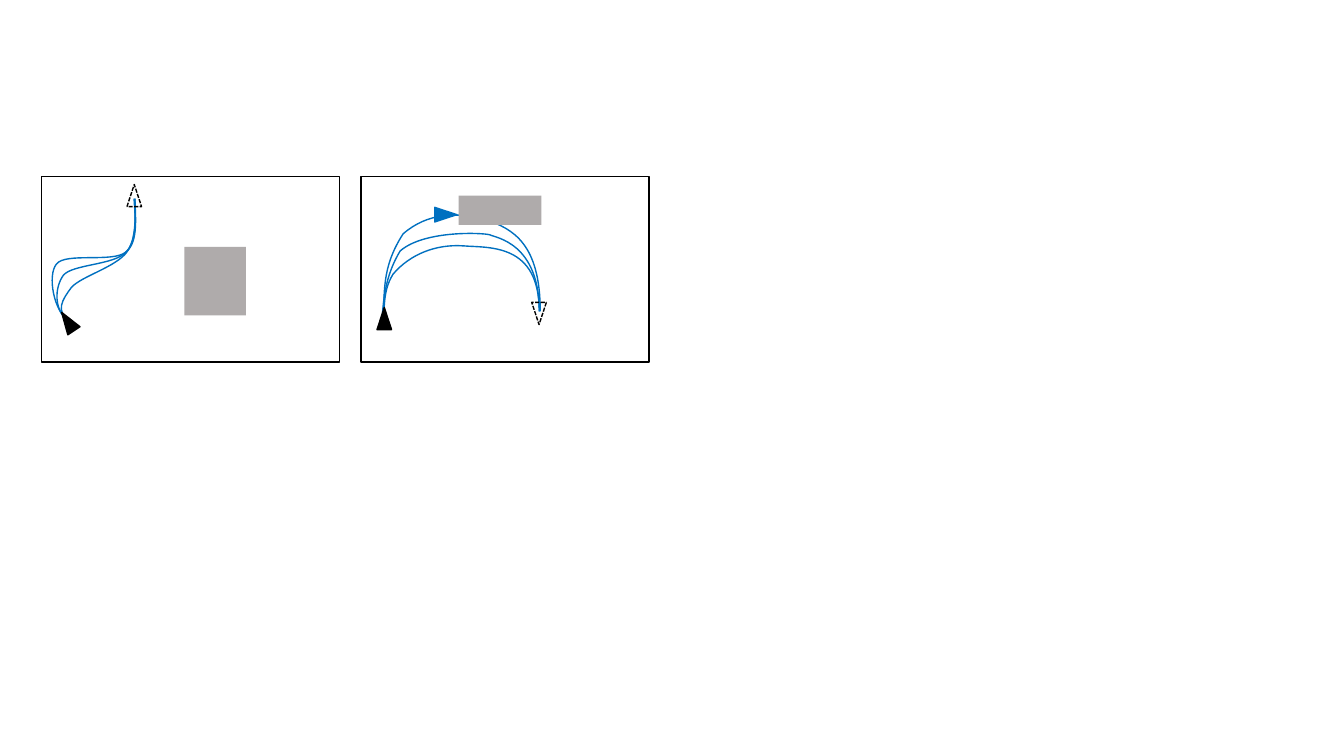
from dataclasses import dataclass
from typing import Optional

import pptx
import pptx.dml.color
import pptx.enum.dml
import pptx.enum.shapes
import pptx.oxml
import pptx.oxml.ns
import pptx.util

# Grid: columns and rows are a tenth of an inch
COLUMNS, ROWS = 133.33, 75
CELL = pptx.util.Inches(0.1)
COLORS = {"ink": "000000", "route": "0070C0", "obstacle": "AFABAB"}
CURVE_STEPS = 40
MARKER_WIDTH, MARKER_HEIGHT = 1.45, 2.2

RECTANGLE = pptx.enum.shapes.MSO_SHAPE.RECTANGLE
TRIANGLE = pptx.enum.shapes.MSO_SHAPE.ISOSCELES_TRIANGLE
Point = tuple[float, float]


@dataclass
class Route:
    """Cubic curve: a start, then two handles and an end for each segment."""
    points: list[Point]


@dataclass
class Block:
    column: float
    row: float
    columns: float
    rows: float
    fill: Optional[str] = None
    line: Optional[str] = None


@dataclass
class Marker:
    column: float
    row: float
    rotation: float = 0
    color: Optional[str] = None  # no colour: dashed outline of a goal


ROUTES = [
    # Left panel
    Route([(7, 31.9), (5.4, 30.9), (6.2, 29.7), (7.1, 28.5),
           (8.1, 27.4), (11.5, 26.5), (12.6, 25), (13.6, 23.6), (13.4, 21.3), (13.4, 19.7)]),
    Route([(6.9, 31.9), (5.3, 30.9), (5.4, 28.5), (6.3, 27.3),
           (7.2, 26.2), (11.4, 26.3), (12.5, 25), (13.7, 23.8), (13.4, 21.3), (13.3, 19.7)]),
    Route([(6.9, 31.9), (5.3, 30.9), (4.7, 27.3), (5.6, 26.2),
           (6.5, 25), (11.2, 26.1), (12.5, 25), (13.8, 24), (13.4, 21.3), (13.4, 19.7)]),
    # Right panel
    Route([(38, 32.1), (38.2, 29), (37.8, 26.6), (40, 23.2),
           (42.4, 21.1), (45.4, 21), (48.2, 21.8), (50.9, 22.7), (53.6, 24.2), (53.6, 30.9)]),
    Route([(37.9, 32.1), (38.3, 31.1), (37.8, 29.1), (39, 27.2),
           (40.7, 25.2), (43.3, 24.2), (46, 24.4), (48.5, 24.6), (53.5, 24.1), (53.5, 30.9)]),
    Route([(37.9, 32.1), (38, 29), (38.5, 26.9), (39.7, 24.9),
           (42.1, 22.8), (48, 23.1), (48.6, 23.3), (49.2, 23.6), (53.5, 24.1), (53.5, 30.9)]),
]
OBSTACLES = [
    Block(18.3, 24.5, 6.1, 6.8, fill="obstacle"),
    Block(45.5, 19.4, 8.2, 2.9, fill="obstacle"),
]
MARKERS = [
    Marker(12.6, 18.3),
    Marker(6, 30.8, rotation=326.3, color="ink"),
    Marker(52.75, 30, rotation=180),
    Marker(43.5, 20.2, rotation=90, color="route"),
    Marker(37.4, 30.5, color="ink"),
]
FRAMES = [
    Block(4.1, 17.5, 29.6, 18.4, line="ink"),
    Block(35.8, 17.5, 28.6, 18.4, line="ink"),
]


def cells(count: float) -> int:
    return round(count * CELL)


def rgb(name: str) -> pptx.dml.color.RGBColor:
    return pptx.dml.color.RGBColor.from_string(COLORS[name])


def style(shape, fill: Optional[str], line: Optional[str]) -> None:
    shape.shadow.inherit = False
    if fill:
        shape.fill.solid()
        shape.fill.fore_color.rgb = rgb(fill)
    else:
        shape.fill.background()
    if line:
        shape.line.color.rgb = rgb(line)
        shape.line.width = pptx.util.Pt(1)
    else:
        shape.line.fill.background()


def bezier(corners: list[Point], share: float) -> Point:
    rest = 1 - share
    weights = (rest**3, 3 * rest**2 * share, 3 * rest * share**2, share**3)
    column, row = (sum(w * corner[axis] for w, corner in zip(weights, corners))
                   for axis in (0, 1))
    return column, row


def draw_route(page, route: Route) -> None:
    points = route.points
    # Points along the curve give the outline its exact bounds
    trace = [bezier(points[first:first + 4], step / CURVE_STEPS)
             for first in range(0, len(points) - 1, 3)
             for step in range(1, CURVE_STEPS + 1)]
    builder = page.shapes.build_freeform(cells(points[0][0]), cells(points[0][1]))
    builder.add_line_segments([(cells(x), cells(y)) for x, y in trace], close=False)
    shape = builder.convert_to_shape()
    style(shape, None, "route")

    # True curve segments take the place of the short straight ones
    outline = shape.element.xpath(".//a:path")[0]
    for segment in outline.xpath("a:lnTo"):
        outline.remove(segment)
    for first in range(1, len(points), 3):
        corners = "".join(
            f'<a:pt x="{cells(x) - shape.left}" y="{cells(y) - shape.top}"/>'
            for x, y in points[first:first + 3])
        outline.append(pptx.oxml.parse_xml(
            f'<a:cubicBezTo {pptx.oxml.ns.nsdecls("a")}>{corners}</a:cubicBezTo>'))


def draw_block(page, block: Block) -> None:
    shape = page.shapes.add_shape(RECTANGLE, cells(block.column), cells(block.row),
                                  cells(block.columns), cells(block.rows))
    style(shape, block.fill, block.line)


def draw_marker(page, marker: Marker) -> None:
    shape = page.shapes.add_shape(TRIANGLE, cells(marker.column), cells(marker.row),
                                  cells(MARKER_WIDTH), cells(MARKER_HEIGHT))
    shape.rotation = marker.rotation
    style(shape, marker.color, marker.color or "ink")
    if not marker.color:
        shape.line.dash_style = pptx.enum.dml.MSO_LINE.SQUARE_DOT


def main() -> None:
    deck = pptx.Presentation()
    deck.slide_width, deck.slide_height = cells(COLUMNS), cells(ROWS)
    page = deck.slides.add_slide(deck.slide_layouts[6])

    for route in ROUTES:
        draw_route(page, route)
    for obstacle in OBSTACLES:
        draw_block(page, obstacle)
    for marker in MARKERS:
        draw_marker(page, marker)
    for frame in FRAMES:
        draw_block(page, frame)

    deck.save("out.pptx")


if __name__ == "__main__":
    main()
